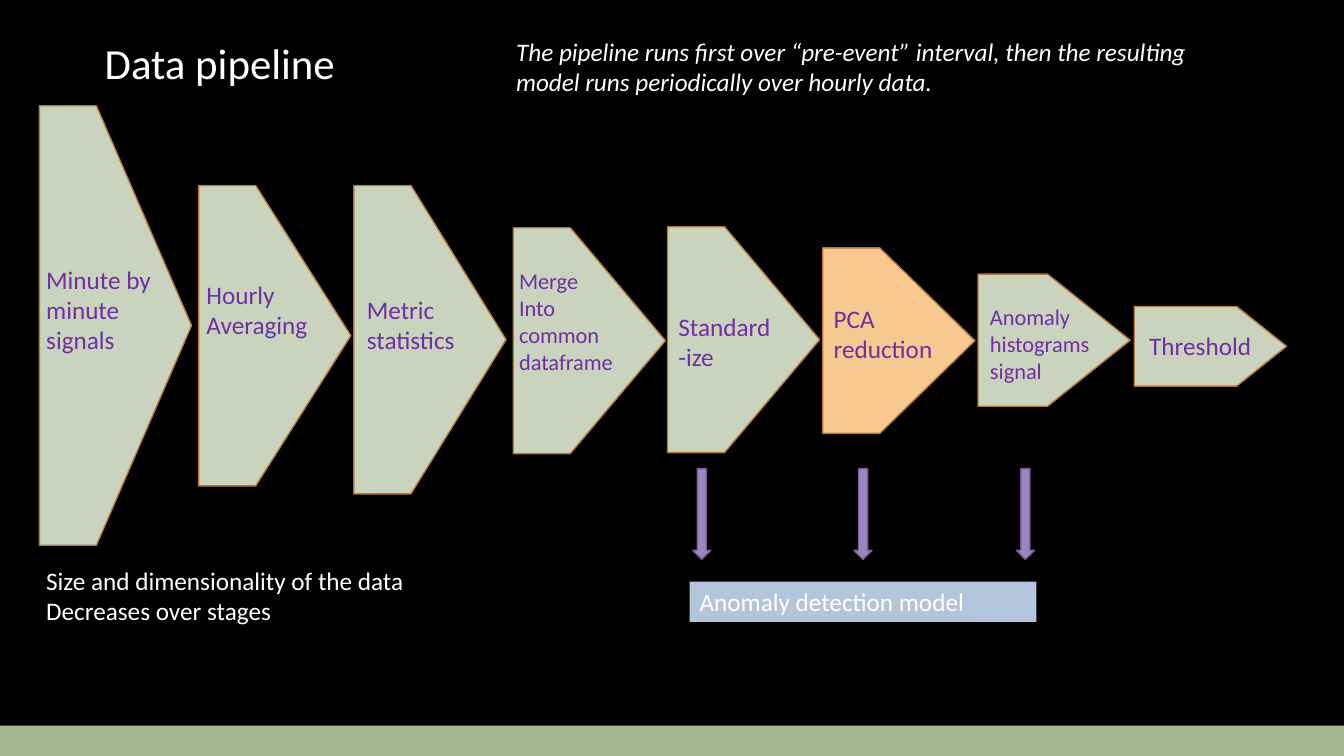
"""Build the data pipeline slide."""
import pptx
import pptx.util
import pptx.dml.color
import pptx.enum.shapes
import pptx.enum.text

Inches = pptx.util.Inches
RGBColor = pptx.dml.color.RGBColor
SHAPE = pptx.enum.shapes.MSO_SHAPE
ANCHOR = pptx.enum.text.MSO_ANCHOR
ALIGN = pptx.enum.text.PP_ALIGN
AUTO = pptx.enum.text.MSO_AUTO_SIZE

BLACK = RGBColor(0x00, 0x00, 0x00)
WHITE = RGBColor(0xFF, 0xFF, 0xFF)
GREEN = RGBColor(0xA5, 0xB5, 0x92)
SAGE = RGBColor(0xC9, 0xD3, 0xBE)
PEACH = RGBColor(0xF8, 0xC8, 0x91)
BROWN = RGBColor(0xB4, 0x79, 0x35)
PURPLE = RGBColor(0x70, 0x30, 0xA0)
LILAC = RGBColor(0x9C, 0x85, 0xC0)
PLUM = RGBColor(0x73, 0x62, 0x8E)
BLUE = RGBColor(0xB3, 0xC5, 0xDA)

STAGE_WIDTH, LABEL_WIDTH = 1.51, 1.94
STAGES = [
    (0.39, 1.05, 4.36, SAGE, 0.36, 2.57, 1.01, 18, "Minute by minute\nsignals"),
    (1.97, 1.84, 2.98, SAGE, 1.95, 2.72, 0.71, 18, "Hourly\nAveraging"),
    (3.51, 1.84, 3.06, SAGE, 3.54, 2.87, 0.71, 18, "Metric\nstatistics"),
    (5.09, 2.26, 2.24, SAGE, 5.05, 2.6, 1.18, 16, "Merge\nInto\ncommon\ndataframe"),
    (6.62, 2.25, 2.24, SAGE, 6.63, 3.04, 0.71, 18, "Standard\n-ize"),
    (8.16, 2.46, 1.84, PEACH, 8.17, 2.96, 0.71, 18, "PCA\nreduction"),
    (9.7, 2.72, 1.31, SAGE, 9.72, 2.96, 0.91, 16, "Anomaly\nhistograms\nsignal"),
    (11.25, 3.04, 0.79, SAGE, 11.3, 3.23, 0.4, 18, "Threshold"),
]


def write(tf, text, size=18, color=WHITE, italic=False, spacing=None,
          anchor=ANCHOR.TOP, wrap=True, auto=AUTO.SHAPE_TO_FIT_TEXT):
    tf.word_wrap = wrap
    tf.auto_size = auto
    tf.vertical_anchor = anchor
    for i, line in enumerate(text.split("\n")):
        p = tf.add_paragraph() if i else tf.paragraphs[0]
        p.alignment = ALIGN.LEFT
        if spacing:
            p.line_spacing = spacing
        r = p.add_run()
        r.text = line
        r.font.name = "Calibri"
        r.font.size = pptx.util.Pt(size)
        r.font.italic = italic
        r.font.color.rgb = color


class Deck:
    def __init__(self):
        self.prs = pptx.Presentation()
        self.prs.slide_width = Inches(13.33)
        self.prs.slide_height = Inches(7.5)
        self.s = self.prs.slides.add_slide(self.prs.slide_layouts[6])
        self.s.background.fill.solid()
        self.s.background.fill.fore_color.rgb = BLACK

    def shape(self, kind, x, y, w, h, fill, line=None):
        sp = self.s.shapes.add_shape(kind, Inches(x), Inches(y), Inches(w), Inches(h))
        sp.shadow.inherit = False
        sp.fill.solid()
        sp.fill.fore_color.rgb = fill
        if line is None:
            sp.line.fill.background()
        else:
            sp.line.color.rgb = line
            sp.line.width = pptx.util.Pt(1)
        return sp

    def text(self, x, y, w, h, text, **fmt):
        sp = self.s.shapes.add_textbox(Inches(x), Inches(y), Inches(w), Inches(h))
        write(sp.text_frame, text, **fmt)

    def stage(self, x, y, h, fill, label_x, label_y, label_h, size, label):
        sp = self.shape(SHAPE.RIGHT_ARROW, x, y, STAGE_WIDTH, h, fill, BROWN)
        sp.adjustments[0] = 1
        sp.adjustments[1] = 0.625
        self.text(label_x, label_y, LABEL_WIDTH, label_h, label, size=size, color=PURPLE)


def main():
    deck = Deck()
    deck.shape(SHAPE.RECTANGLE, 0, 7.2, 13.33, 0.3, GREEN)
    deck.text(0.94, 0.4, 10.56, 0.53, "Data pipeline", size=30.6, spacing=0.9,
              anchor=ANCHOR.BOTTOM, auto=AUTO.NONE)
    for stage in STAGES:
        deck.stage(*stage)
    deck.text(0.36, 5.56, 4.5, 0.71,
              "Size and dimensionality of the data\nDecreases over stages", wrap=False)
    for x in (6.87, 8.47, 10.08):
        deck.shape(SHAPE.DOWN_ARROW, x, 4.65, 0.18, 0.9, LILAC, PLUM)
    model = deck.shape(SHAPE.RECTANGLE, 6.84, 5.77, 3.44, 0.4, BLUE)
    write(model.text_frame, "Anomaly detection model", auto=AUTO.NONE)
    deck.text(5.02, 0.31, 7.28, 0.71,
              "The pipeline runs first over “pre-event” interval, then the resulting "
              "model runs periodically over hourly data.", italic=True)
    deck.prs.save("out.pptx")


if __name__ == "__main__":
    main()
